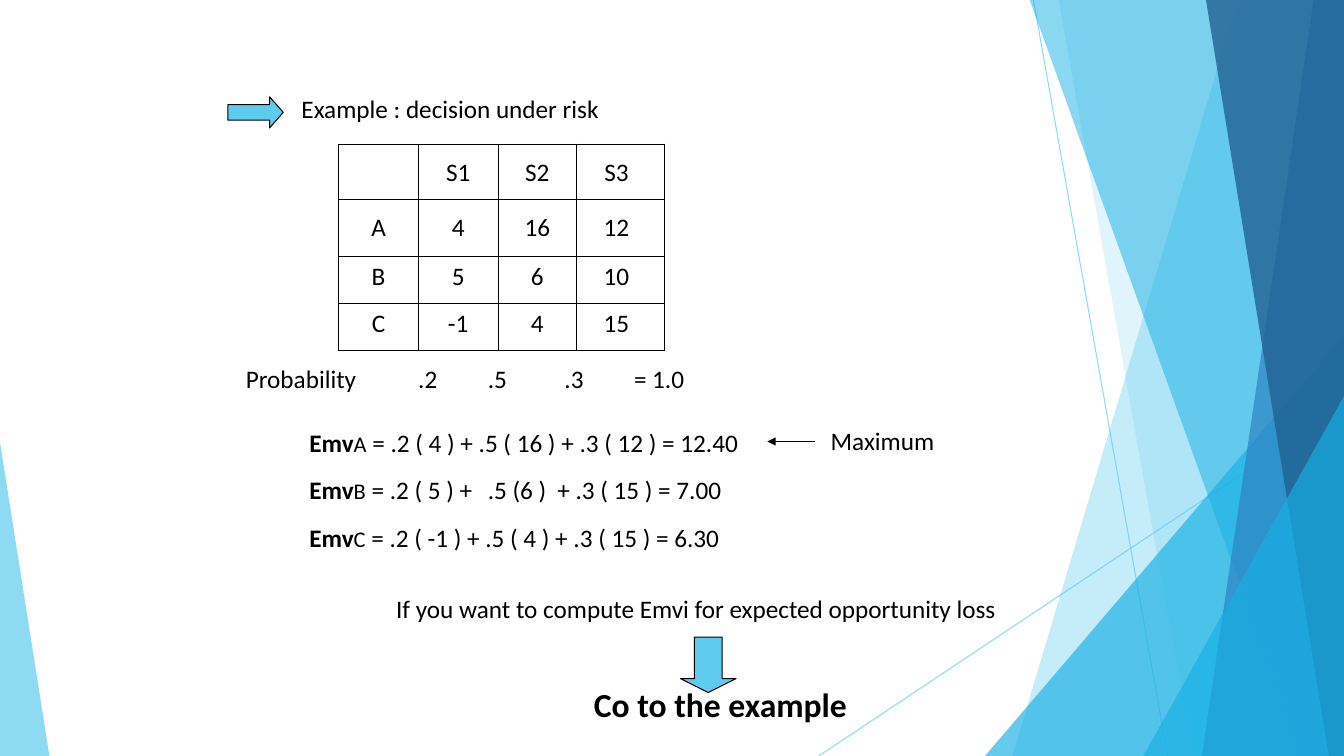
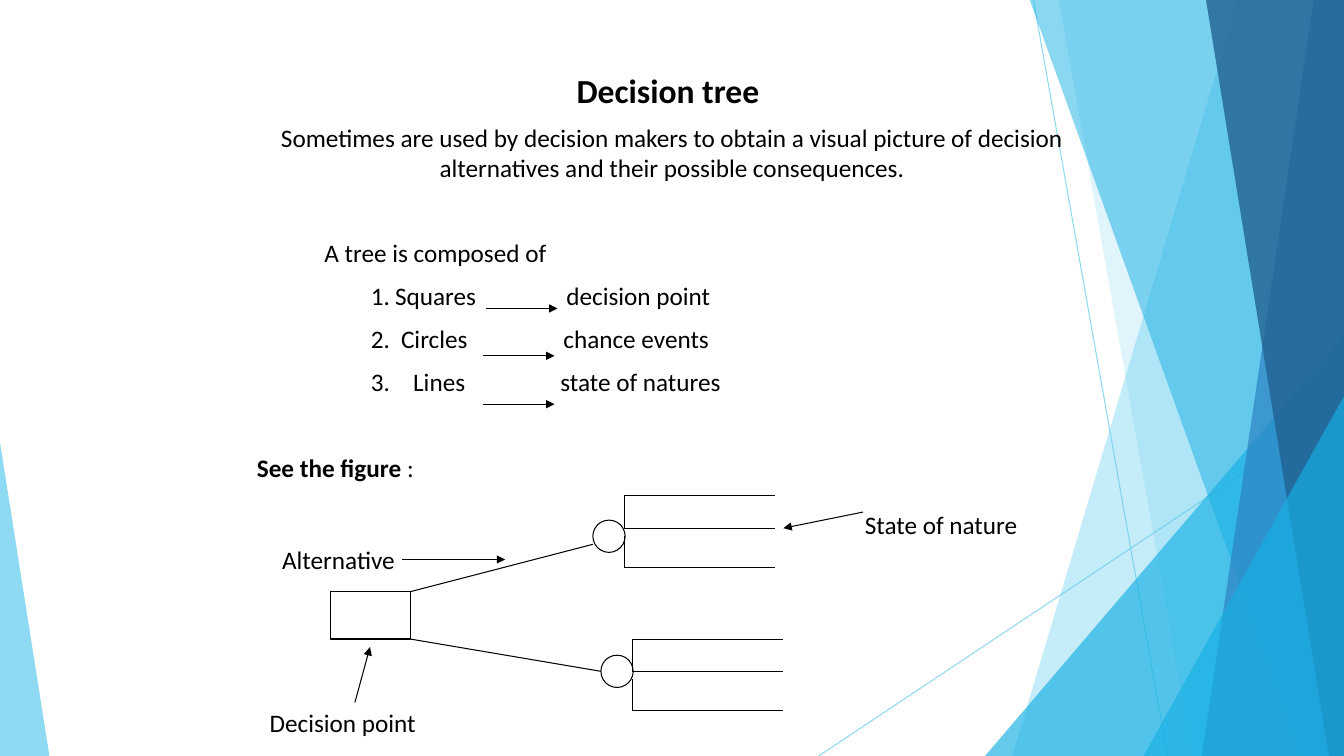
from itertools import accumulate

from lxml.etree import SubElement
from pptx import Presentation
from pptx.dml.color import RGBColor
from pptx.enum.shapes import MSO_CONNECTOR as Connector, MSO_SHAPE as Shape
from pptx.enum.text import MSO_ANCHOR as Anchor, MSO_AUTO_SIZE as AutoSize, PP_ALIGN as Align
from pptx.oxml import parse_xml
from pptx.oxml.ns import nsdecls, qn
from pptx.util import Inches, Pt

FONT = "Calibri"
BLACK, WHITE, SKY = "000000", "FFFFFF", "5FCBEF"
BRIGHT, BLUE, NAVY = "17B0E4", "2E83C3", "226292"
LINE_WIDTH = 0.75
TEXT_HEIGHT, TITLE_HEIGHT = 0.4, 0.51
WIDTH, HEIGHT = 13.33, 7.5

# Backdrop: lines are end points, bands are the x of three corners
# (top left, bottom right, bottom left), triangles are a box and apex position.
BACKDROP_LINES = [(10.25, 0, 11.58, 7.5), (13.33, 4.03, 8.12, 7.5)]
BACKDROP_FACETS = [
    ("band", (12.28, 10.04), SKY, 36),
    ("band", (10.5, 11.83), SKY, 20),
    ("triangle", (9.77, 3.33, 3.56, 4.17, 1), BRIGHT, 66),
    ("band", (10.21, 12.91), BRIGHT, 50),
    ("band", (13.03, 11.92), BLUE, 70),
    ("band", (11.96, 13.18), NAVY, 80),
    ("triangle", (11.34, 3.93, 1.99, 3.57, 1), BRIGHT, 66),
    ("triangle", (0, 4.39, 0.49, 3.11, 0), SKY, 70),
]

PAYOFFS = [
    ["", "S1", "S2", "S3"],
    ["A", "4", "16", "12"],
    ["B", "5", "6", "10"],
    ["C", "-1", "4", "15"],
]
COLUMN_WIDTHS = [0.79, 0.79, 0.78, 0.87]
ROW_HEIGHTS = [0.55, 0.56, 0.47, 0.47]
CELL_TOP_MARGINS = [0.13, 0.13, 0.05, 0.05]
PROBABILITIES = "Probability\t.2\t.5\t.3\t= 1.0"
PROBABILITY_TABS = [1.71, 2.4, 3.16, 3.85]
EXPECTED_VALUES = [
    ("A", " = .2 ( 4 ) + .5 ( 16 ) + .3 ( 12 ) = 12.40"),
    ("B", " = .2 ( 5 ) +\t.5 (6 )\t+ .3 ( 15 ) = 7.00"),
    ("C", " = .2 ( -1 ) + .5 ( 4 ) + .3 ( 15 ) = 6.30"),
]

TREE_INTRO = ("Sometimes are used by decision makers to obtain a visual picture of decision "
              "alternatives and their possible consequences.")
# Text, tab stops
TREE_PARTS = [
    ("1.\tSquares\tdecision point", (0.24, 1.94)),
    ("2.\tCircles\tchance events", (0.3, 1.91)),
    ("3.\tLines\tstate of natures", (0.42, 1.88)),
]
TREE_PART_ARROWS = [(4.82, 3.06), (4.79, 3.53), (4.79, 4.01)]
DECISION_SQUARE = (3.28, 5.87, 0.79, 0.47)
# Branch from the square, chance circle corner, fan corner
CHANCE_EVENTS = [
    ((4.07, 5.87, 5.88, 5.4), (5.88, 5.16), (6.19, 4.92)),
    ((4.07, 6.34, 5.96, 6.66), (5.96, 6.5), (6.27, 6.34)),
]
CIRCLE_SIZE, FAN_WIDTH = 0.32, 1.5
FAN_LEVELS = (0, 0.32, 0.71)
FAN_STEMS = [(0, 0.32), (0.4, 0.71)]
TREE_LABELS = [
    ("State of nature", (8.48, 5, 2.76), Align.LEFT, (8.56, 5.08, 7.77, 5.24)),
    ("Alternative", (2.7, 5.35, 2.12), Align.LEFT, (3.99, 5.55, 5.01, 5.55)),
    ("Decision point", (2.18, 6.97, 2.44), Align.CENTER, (3.52, 6.97, 3.67, 6.42)),
]


def color(hex_code):
    return RGBColor.from_string(hex_code)


def inches(values):
    return [Inches(value) for value in values]


def set_opacity(shape, percent):
    for element in shape.element.iter(qn("a:srgbClr")):
        SubElement(element, qn("a:alpha"), val=str(percent * 1000))


def write(frame, text, size=18, bold=False, align=Align.LEFT, tabs=(), space_before=0, new=False):
    """Write a paragraph: a string, or a list of (text, size, bold) runs."""
    frame.word_wrap = True
    paragraph = frame.add_paragraph() if new else frame.paragraphs[0]
    paragraph.alignment = align
    paragraph.space_before = Pt(space_before)
    if tabs:
        tab_list = SubElement(paragraph._p.get_or_add_pPr(), qn("a:tabLst"))
        for position in tabs:
            SubElement(tab_list, qn("a:tab"), pos=str(Inches(position)), algn="l")
    for run_text, run_size, run_bold in [(text, size, bold)] if isinstance(text, str) else text:
        run = paragraph.add_run()
        run.text = run_text
        run.font.name, run.font.size, run.font.bold = FONT, Pt(run_size), run_bold
        run.font.color.rgb = color(BLACK)


def add_text(slide, text, left, top, width, height=TEXT_HEIGHT, **text_format):
    box = slide.shapes.add_textbox(*inches((left, top, width, height)))
    write(box.text_frame, text, **text_format)
    return box


def set_title(slide, text, left, top, width, height, **text_format):
    title = slide.shapes.title
    title.left, title.top, title.width, title.height = inches((left, top, width, height))
    title.text_frame.auto_size = AutoSize.NONE
    title.text_frame.vertical_anchor = Anchor.TOP
    write(title.text_frame, text, **text_format)


def paint(shape, fill=None, line=None):
    shape.shadow.inherit = False
    if fill:
        shape.fill.solid()
        shape.fill.fore_color.rgb = color(fill)
    else:
        shape.fill.background()
    if line:
        shape.line.color.rgb = color(line)
        shape.line.width = Pt(LINE_WIDTH)
    else:
        shape.line.fill.background()


def add_figure(shapes, kind, box, fill=None, line=BLACK, adjustments=()):
    shape = shapes.add_shape(kind, *inches(box))
    for index, value in enumerate(adjustments):
        shape.adjustments[index] = value
    paint(shape, fill, line)
    return shape


def add_line(shapes, ends, line=BLACK, arrow=False):
    connector = shapes.add_connector(Connector.STRAIGHT, *inches(ends))
    connector.line.color.rgb = color(line)
    connector.line.width = Pt(LINE_WIDTH)
    properties = connector.element.spPr
    if arrow:
        SubElement(properties.find(qn("a:ln")), qn("a:tailEnd"), type="triangle")
    SubElement(properties, qn("a:effectLst"))
    return connector


def add_backdrop(presentation, slide):
    """Draw the facets as one group and move it to the slide master."""
    group = slide.shapes.add_group_shape()
    for ends in BACKDROP_LINES:
        set_opacity(add_line(group.shapes, ends, SKY), 70)
    for kind, geometry, fill, opacity in BACKDROP_FACETS:
        if kind == "triangle":
            *box, apex = geometry
            facet = add_figure(group.shapes, Shape.ISOSCELES_TRIANGLE, box, fill, None, [apex])
        else:
            top_x, bottom_x = geometry
            builder = group.shapes.build_freeform(Inches(top_x), Inches(-0.01))
            corners = [(WIDTH, -0.01), (WIDTH, HEIGHT), (bottom_x, HEIGHT)]
            builder.add_line_segments([inches(corner) for corner in corners], close=True)
            facet = builder.convert_to_shape()
            paint(facet, fill)
        set_opacity(facet, opacity)
    presentation.slide_master.shapes.element.insert(2, group.element)


def set_borders(cell):
    properties = cell._tc.get_or_add_tcPr()
    for index, side in enumerate(("lnL", "lnR", "lnT", "lnB")):
        properties.insert(index, parse_xml(
            f'<a:{side} {nsdecls("a")} w="{Pt(LINE_WIDTH)}"><a:solidFill>'
            f'<a:srgbClr val="{BLACK}"/></a:solidFill></a:{side}>'))


def add_payoff_table(slide, left, top):
    size = inches((left, top, sum(COLUMN_WIDTHS), sum(ROW_HEIGHTS)))
    table = slide.shapes.add_table(len(PAYOFFS), len(PAYOFFS[0]), *size).table
    table.first_row = table.horz_banding = False
    for column, width in zip(table.columns, COLUMN_WIDTHS):
        column.width = Inches(width)
    for row, height, margin, values in zip(table.rows, ROW_HEIGHTS, CELL_TOP_MARGINS, PAYOFFS):
        row.height = Inches(height)
        for cell, value, width in zip(row.cells, values, COLUMN_WIDTHS):
            cell.fill.background()
            set_borders(cell)
            cell.margin_left, cell.margin_top, cell.margin_bottom = inches((0.05, margin, 0.02))
            cell.margin_right = Inches(0.05 + width - min(width, COLUMN_WIDTHS[0]))
            write(cell.text_frame, value, align=Align.CENTER)


def build_risk_slide(slide):
    set_title(slide, "Example : decision under risk", 2.89, 0.88, 8.9, TEXT_HEIGHT)
    add_figure(slide.shapes, Shape.RIGHT_ARROW, (2.26, 0.96, 0.55, 0.31), SKY,
               adjustments=(0.5, 0.44))
    add_payoff_table(slide, 3.36, 1.43)
    add_text(slide, PROBABILITIES, 2.34, 3.56, 9.37, tabs=PROBABILITY_TABS)
    tops = accumulate([4.19, 0.47, 0.47])
    for top, (alternative, formula) in zip(tops, EXPECTED_VALUES):
        runs = [("Emv", 18, True), (alternative, 16, False), (formula, 18, False)]
        add_text(slide, runs, 2.97, top, 8.66, tabs=(1.77, 2.46) if "\t" in formula else ())
    add_text(slide, "Maximum", 8.14, 4.17, 1.49)
    add_line(slide.shapes, (8.08, 4.38, 7.61, 4.38), arrow=True)
    add_text(slide, "If you want to compute Emvi for expected opportunity loss", 3.83, 5.84, 6.69)
    add_text(slide, "Co to the example", 3.8, 6.74, 6.69, TITLE_HEIGHT,
             size=24, bold=True, align=Align.CENTER)
    add_figure(slide.shapes, Shape.DOWN_ARROW, (6.75, 6.32, 0.55, 0.55), SKY,
               adjustments=(0.5, 0.25))


def add_chance_event(shapes, branch, circle, fan):
    add_line(shapes, branch)
    add_figure(shapes, Shape.OVAL, (*circle, CIRCLE_SIZE, CIRCLE_SIZE))
    left, top = fan
    for level in FAN_LEVELS:
        add_line(shapes, (left, top + level, left + FAN_WIDTH, top + level))
    for start, end in FAN_STEMS:
        add_line(shapes, (left, top + start, left, top + end))


def build_tree_slide(slide):
    set_title(slide, "Decision tree", 2.41, 0.64, 8.43, TITLE_HEIGHT,
              size=24, bold=True, align=Align.CENTER)
    add_text(slide, TREE_INTRO, 2.45, 1.16, 8.43, 0.71, align=Align.CENTER)
    add_text(slide, "A tree is composed of", 3.12, 2.31, 4)
    parts = add_text(slide, TREE_PARTS[0][0], 3.58, 2.73, 5, 1.27, tabs=TREE_PARTS[0][1])
    for text, tabs in TREE_PARTS[1:]:
        write(parts.text_frame, text, tabs=tabs, space_before=9, new=True)
    for left, top in TREE_PART_ARROWS:
        add_line(slide.shapes, (left, top, left + 0.71, top), arrow=True)
    add_text(slide, [("See the figure", 18, True), (" :", 18, False)], 2.45, 4.44, 3)
    add_figure(slide.shapes, Shape.RECTANGLE, DECISION_SQUARE)
    for branch, circle, fan in CHANCE_EVENTS:
        add_chance_event(slide.shapes, branch, circle, fan)
    for text, place, align, pointer in TREE_LABELS:
        add_text(slide, text, *place, align=align)
        add_line(slide.shapes, pointer, arrow=True)


def main():
    presentation = Presentation()
    presentation.slide_width, presentation.slide_height = inches((WIDTH, HEIGHT))
    background = presentation.slide_master.background.fill
    background.solid()
    background.fore_color.rgb = color(WHITE)
    title_only = presentation.slide_layouts[5]
    for build in (build_risk_slide, build_tree_slide):
        slide = presentation.slides.add_slide(title_only)
        build(slide)
    add_backdrop(presentation, slide)
    presentation.save("out.pptx")


if __name__ == "__main__":
    main()
